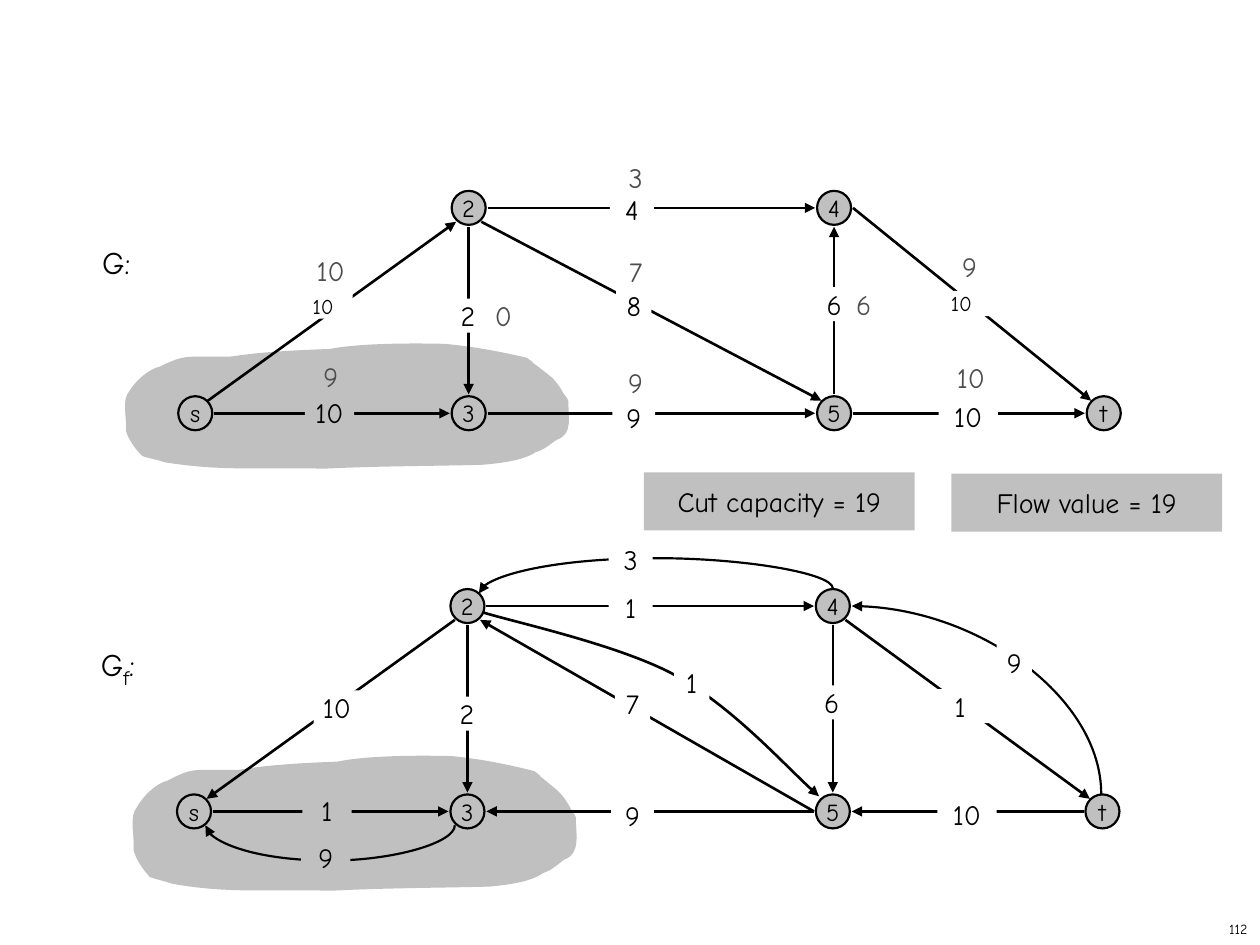
from lxml import etree
from pptx import Presentation
from pptx.dml.color import RGBColor
from pptx.enum.shapes import MSO_CONNECTOR, MSO_SHAPE
from pptx.enum.text import MSO_ANCHOR, PP_ALIGN
from pptx.oxml.ns import qn
from pptx.util import Inches, Pt

FONT = "Comic Neue"
COLORS = {"ink": "000000", "flow": "4D4D4D", "gray": "C0C0C0", "paper": "FFFFFF"}

NODES = {"s": (1.55, 3.28), "2": (3.72, 1.65), "3": (3.72, 3.28),
         "4": (6.62, 1.65), "5": (6.62, 3.28), "t": (8.76, 3.28)}
NODE_SIZE = 0.27
PORTS = {"N": (0, -0.15), "S": (0, 0.15), "W": (-0.15, 0), "E": (0.15, 0),
         "NW": (-0.1, -0.1), "NE": (0.1, -0.1), "SW": (-0.1, 0.11), "SE": (0.1, 0.11)}

# Edges: start node, start port, end node, end port
# Labels: text, left, top, width
GRAPHS = [
    {"offset": (0, 0),
     "edges": ["s NE 2 SW", "s E 3 W", "3 E 5 W", "2 E 4 W", "2 S 3 N",
               "5 N 4 S", "2 SE 5 NW", "4 E t NW", "5 E t W"],
     "gray": [("10", 2.42, 3.14, 0.39)],
     "white": [("9", 4.86, 3.18, 0.34), ("8", 4.89, 2.29, 0.28), ("4", 4.84, 1.53, 0.35),
               ("10", 7.45, 3.17, 0.47), ("6", 6.39, 2.28, 0.46), ("2", 3.48, 2.37, 0.47)],
     "small": [("10", 2.33, 2.33, 0.47), ("10", 7.4, 2.31, 0.46)]},
    {"offset": (-0.01, 3.16),
     "edges": ["s E 3 W", "5 W 3 E", "2 E 4 W", "2 S 3 N", "4 S 5 N",
               "4 SE t NW", "t W 5 E", "5 W 2 SE", "2 SW s NE"],
     "gray": [("1", 2.4, 6.3, 0.39), ("9", 2.39, 6.67, 0.39)],
     "white": [("9", 4.85, 6.34, 0.34), ("1", 4.83, 4.69, 0.35), ("1", 7.39, 5.47, 0.46),
               ("6", 6.37, 5.44, 0.46), ("2", 3.47, 5.53, 0.47), ("10", 7.44, 6.33, 0.47),
               ("7", 4.88, 5.45, 0.28), ("10", 2.49, 5.48, 0.37), ("9", 7.91, 5.12, 0.28),
               ("3", 4.83, 4.31, 0.35), ("1", 5.35, 5.28, 0.28)],
     "small": []},
]
FLOWS = [("10", 2.44, 2.01), ("3", 4.86, 1.27), ("9", 7.51, 1.98), ("9", 2.44, 2.85),
         ("9", 4.86, 2.9), ("10", 7.52, 2.86), ("7", 4.86, 2.02), ("0", 3.81, 2.37),
         ("6", 6.67, 2.28)]
BOXES = [("Flow value = 19", 7.55, 3.76), ("Cut capacity = 19", 5.11, 3.75)]

# Cubic paths: a start point, then three points per segment
CUT = [(3.53, 2.73), (3.75, 2.75), (3.97, 2.79), (4.18, 2.84),
       (4.31, 2.93), (4.13, 2.81), (4.27, 2.91), (4.37, 2.99), (4.39, 2.99), (4.46, 3.1),
       (4.47, 3.13), (4.5, 3.15), (4.51, 3.18), (4.51, 3.3), (4.55, 3.45), (4.42, 3.49),
       (4.36, 3.53), (4.32, 3.57), (4.25, 3.59), (4.15, 3.66), (3.94, 3.68), (3.82, 3.69),
       (3.4, 3.7), (2.99, 3.7), (2.58, 3.72), (1.97, 3.71), (1.76, 3.74), (1.31, 3.67),
       (1.25, 3.65), (1.19, 3.64), (1.13, 3.62), (1.07, 3.56), (1.02, 3.49), (1, 3.42),
       (1.01, 3.31), (0.96, 3.18), (1.03, 3.1), (1.08, 3.02), (1.18, 2.93), (1.27, 2.91),
       (1.49, 2.8), (1.49, 2.84), (1.84, 2.83), (2.1, 2.79), (2.36, 2.78), (2.62, 2.77),
       (2.92, 2.71), (3.53, 2.73), (3.53, 2.73)]
RESIDUAL_CUT = [(x + 0.06, 5.98 + (y - 2.71) * 1.1 / 1.02) for x, y in CUT]
CURVES = [
    (1.25, [(3.61, 6.55), (3.61, 6.69), (3.12, 6.83), (2.62, 6.83),
            (2.13, 6.83), (1.63, 6.69), (1.63, 6.55)]),
    (1.25, [(8.74, 6.3), (8.74, 5.55), (7.75, 4.81), (6.76, 4.81)]),
    (1.25, [(6.61, 4.67), (6.61, 4.55), (5.91, 4.43), (5.21, 4.43),
            (4.5, 4.43), (3.8, 4.57), (3.8, 4.71)]),
    (1.5, [(3.83, 4.86), (4.09, 4.94), (4.92, 5.12), (5.36, 5.36),
           (5.81, 5.61), (6.27, 6.12), (6.5, 6.32)]),
]

prs = Presentation()
prs.slide_width, prs.slide_height = Inches(10), Inches(7.5)
slide = prs.slides.add_slide(prs.slide_layouts[6])
shapes = slide.shapes


def rgb(name):
    return RGBColor.from_string(COLORS[name])


def paint(sp, fill=None, line=None):
    sp.shadow.inherit = False
    if fill:
        sp.fill.solid()
        sp.fill.fore_color.rgb = rgb(fill)
    else:
        sp.fill.background()
    if line:
        sp.line.color.rgb = rgb("ink")
        sp.line.width = Pt(line)
    else:
        sp.line.fill.background()


def write(sp, runs, size, color="ink", align=PP_ALIGN.CENTER, anchor=MSO_ANCHOR.TOP,
          insets=(0, 0), wrap=True):
    tf = sp.text_frame
    tf.word_wrap, tf.vertical_anchor = wrap, anchor
    tf.margin_left = tf.margin_right = Inches(insets[0])
    tf.margin_top = tf.margin_bottom = Inches(insets[1])
    p = tf.paragraphs[0]
    p.alignment = align
    for text in runs:
        r = p.add_run()
        r.text = text
        r.font.name, r.font.size = FONT, Pt(size)
        r.font.color.rgb = rgb(color)
    return p


def add_box(x, y, w, h, fill, kind=MSO_SHAPE.RECTANGLE, line=None):
    sp = shapes.add_shape(kind, Inches(x), Inches(y), Inches(w), Inches(h))
    paint(sp, fill, line)
    return sp


def add_arrowhead(sp):
    etree.SubElement(sp.line._get_or_add_ln(), qn("a:tailEnd"), type="triangle")


def add_curve(points, closed=False):
    """Draw a cubic path: the builder's straight segments are regrouped in threes."""
    pts = [(Inches(x), Inches(y)) for x, y in points]
    builder = shapes.build_freeform(*pts[0])
    builder.add_line_segments(pts[1:], close=closed)
    sp = builder.convert_to_shape()
    segments = list(sp._element.iter(qn("a:lnTo")))
    for i in range(0, len(segments), 3):
        cubic = etree.Element(qn("a:cubicBezTo"))
        segments[i].addprevious(cubic)
        for seg in segments[i:i + 3]:
            cubic.append(seg[0])
            seg.getparent().remove(seg)
    return sp


def add_edge(edge, dx, dy):
    a, port_a, b, port_b = edge.split()
    ends = [Inches(n + p + d) for node, port in ((a, port_a), (b, port_b))
            for n, p, d in zip(NODES[node], PORTS[port], (dx, dy))]
    c = shapes.add_connector(MSO_CONNECTOR.STRAIGHT, *ends)
    c.line.color.rgb = rgb("ink")
    c.line.width = Pt(1.5)
    add_arrowhead(c)
    etree.SubElement(c._element.spPr, qn("a:effectLst"))


for outline in (CUT, RESIDUAL_CUT):
    paint(add_curve(outline, closed=True), "gray")

for width, points in CURVES:
    sp = add_curve(points)
    paint(sp, line=width)
    # The arrowhead belongs inside the line properties
    add_arrowhead(sp)

for graph in GRAPHS:
    dx, dy = graph["offset"]
    for name, (x, y) in NODES.items():
        sp = add_box(x + dx - NODE_SIZE / 2, y + dy - NODE_SIZE / 2, NODE_SIZE, NODE_SIZE,
                     "gray", MSO_SHAPE.OVAL, 1.25)
        write(sp, [name], 14, anchor=MSO_ANCHOR.MIDDLE, insets=(0.1, 0.05), wrap=False)
    for edge in graph["edges"]:
        add_edge(edge, dx, dy)
    for group, fill, size, height in (("gray", "gray", 16, 0.27), ("white", "paper", 16, 0.27),
                                      ("small", "paper", 12, 0.2)):
        for text, x, y, w in graph[group]:
            write(add_box(x, y, w, height, fill), [text], size)

for text, x, y in FLOWS:
    sp = shapes.add_textbox(Inches(x), Inches(y), Inches(0.37), Inches(0.19))
    write(sp, [text], 16, "flow")

for runs, x, y in ((["G:"], 0.74, 1.93), (["G", "f", ":"], 0.73, 5.09)):
    p = write(add_box(x, y, 0.48, 0.3, "paper"), runs, 18, align=PP_ALIGN.LEFT,
              insets=(0.07, 0))
    if len(runs) == 3:
        subscript = p.runs[1].font
        subscript.size = Pt(20)
        subscript._element.set("baseline", "-25000")

for text, x, y in BOXES:
    write(add_box(x, y, 2.15, 0.46, "gray"), [text], 16,
          anchor=MSO_ANCHOR.MIDDLE, insets=(0.1, 0.15))

number = shapes.add_textbox(Inches(7.92), Inches(7.25), Inches(2.08), Inches(0.25))
write(number, ["112"], 8, align=PP_ALIGN.RIGHT, anchor=MSO_ANCHOR.MIDDLE,
      insets=(0.1, 0.05), wrap=False)

prs.save("out.pptx")
